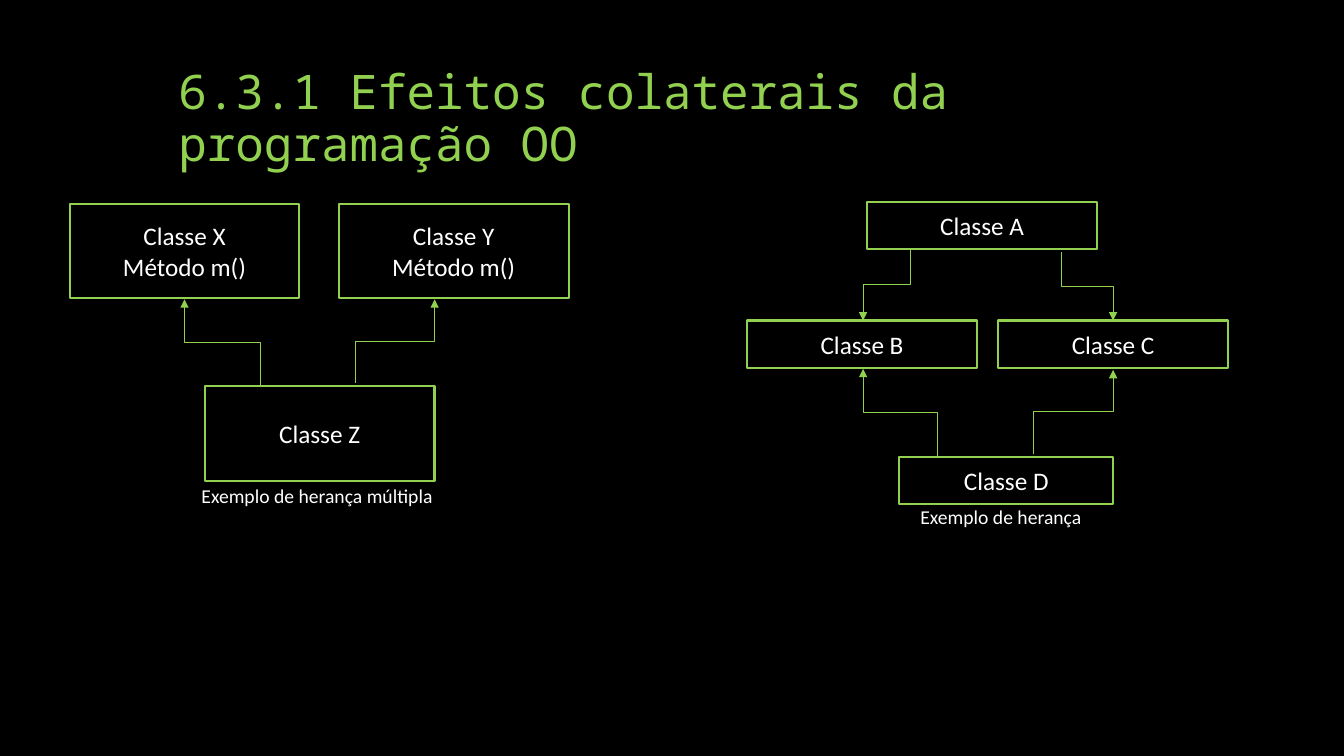
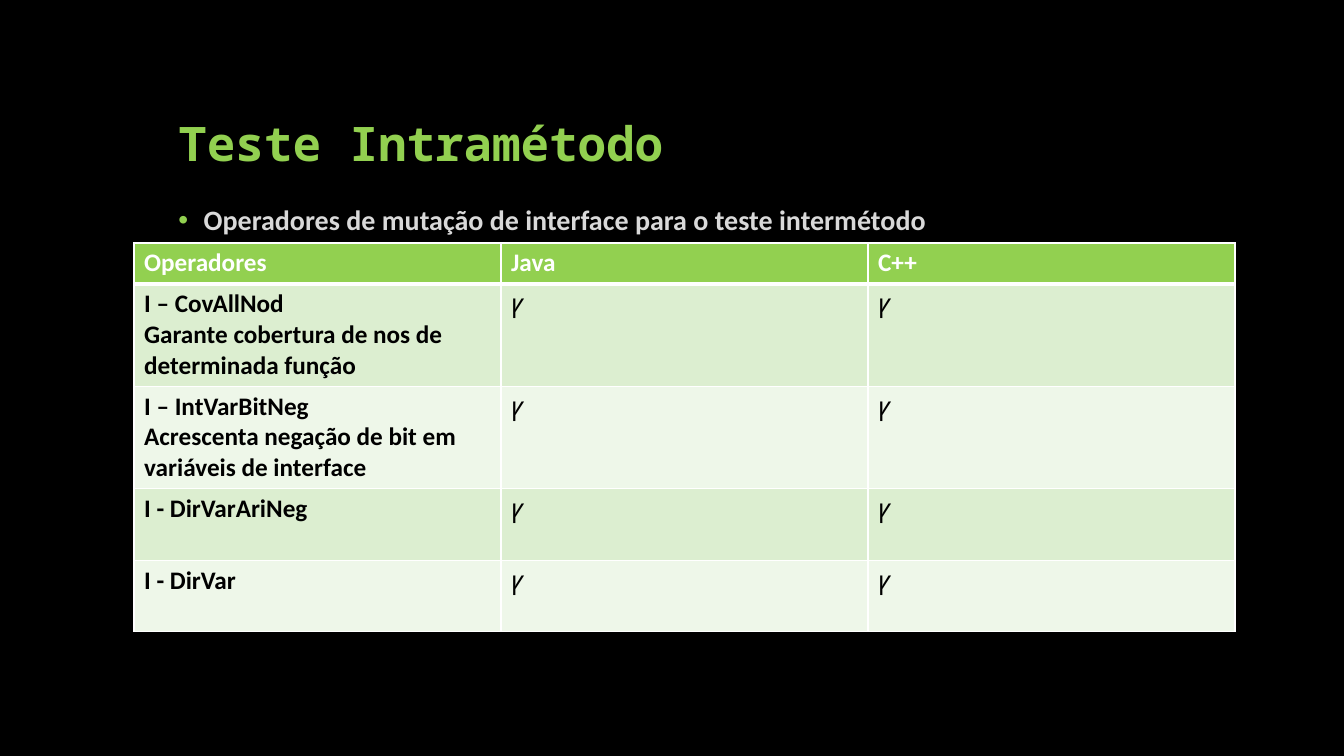
from pptx import Presentation
from pptx.dml.color import RGBColor
from pptx.enum import shapes, text
from pptx.oxml import parse_xml
from pptx.oxml.ns import nsdecls, qn
from pptx.util import Inches, Pt
from lxml import etree

HUES = {"back": "000000", "green": "92D050", "white": "FFFFFF", "grey": "D9D9D9",
        "black": "000000", "band1": "DCEED0", "band2": "EEF7E9"}
BODY, MONO = "Calibri", "Noto Sans Mono"

# Content: class boxes as (lines, left, top, width, height)
BOXES = [
    (["Classe X", "Método m()"], 0.69, 2.02, 2.28, 0.94),
    (["Classe Y", "Método m()"], 3.36, 2.02, 2.28, 0.94),
    (["Classe Z"], 2.03, 3.83, 2.28, 0.94),
    (["Classe A"], 8.6, 2, 2.28, 0.47),
    (["Classe B"], 7.41, 3.18, 2.28, 0.47),
    (["Classe C"], 9.9, 3.18, 2.28, 0.47),
    (["Classe D"], 8.92, 4.53, 2.12, 0.47),
]
# Arrows as (x1, y1, x2, y2), leaving and arriving vertically
ARROWS = [
    (2.58, 3.83, 1.83, 2.97), (3.52, 3.8, 4.31, 2.97),
    (9.3, 4.53, 8.56, 3.66), (10.25, 4.5, 11.04, 3.67),
    (9.03, 2.47, 8.56, 3.18), (10.53, 2.5, 11.04, 3.18),
]
NOTES = [("Exemplo de herança múltipla", 1.9, 4.75, 2.6),
         ("Exemplo de herança", 9.03, 4.96, 1.89)]

POINT = "Operadores de mutação de interface para o teste intermétodo"
MARK = "ꝩ"
HEAD = ["Operadores", "Java", "C++"]
ROWS = [
    ["I – CovAllNod", "Garante cobertura de nos de determinada função"],
    ["I – IntVarBitNeg", "Acrescenta negação de bit em variáveis de interface"],
    ["I - DirVarAriNeg"],
    ["I - DirVar"],
]
HIGHS = [0.39, 0.52, 0.71, 0.71, 0.71]


def rgb(hue):
    return RGBColor.from_string(HUES[hue])


def place(shape, *box):
    shape.left, shape.top, shape.width, shape.height = map(Inches, box)


def write(frame, lines, size, hue, font=BODY, bold=False, align=text.PP_ALIGN.LEFT):
    for i, line in enumerate(lines):
        para = frame.paragraphs[0] if i == 0 else frame.add_paragraph()
        para.alignment = align
        run = para.add_run()
        run.text = line
        run.font.name, run.font.size, run.font.bold = font, Pt(size), bold
        run.font.color.rgb = rgb(hue)


def start(deck, kind, name, bold=False):
    slide = deck.slides.add_slide(deck.slide_layouts[kind])
    title = slide.shapes.title
    place(title, 1.67, 0.5, 10, 1.25)
    frame = title.text_frame
    frame.auto_size = text.MSO_AUTO_SIZE.NONE
    frame.vertical_anchor = text.MSO_ANCHOR.BOTTOM
    write(frame, [name], 34, "green", MONO, bold)
    frame.paragraphs[0].line_spacing = 0.9
    return slide


def box(slide, lines, *area):
    shape = slide.shapes.add_shape(shapes.MSO_SHAPE.RECTANGLE, *map(Inches, area))
    shape.shadow.inherit = False
    shape.fill.background()
    shape.line.color.rgb = rgb("green")
    shape.line.width = Pt(1.5)
    shape.text_frame.vertical_anchor = text.MSO_ANCHOR.MIDDLE
    write(shape.text_frame, lines, 18, "white", align=text.PP_ALIGN.CENTER)


def arrow(slide, x1, y1, x2, y2):
    # An elbow starts sideways, so it is laid out turned and then rotated
    midx, midy = (x1 + x2) / 2, (y1 + y2) / 2
    half, rise = abs(y2 - y1) / 2, abs(x2 - x1) / 2
    if (x2 > x1) == (y2 > y1):
        rise = -rise
    line = slide.shapes.add_connector(
        shapes.MSO_CONNECTOR.ELBOW, Inches(midx - half), Inches(midy - rise),
        Inches(midx + half), Inches(midy + rise))
    line.line.color.rgb = rgb("green")
    line.line.width = Pt(0.5)
    props = line._element.spPr
    turn = 90 if y2 > y1 else 270
    props.find(qn("a:xfrm")).set("rot", str(turn * 60000))
    etree.SubElement(props.find(qn("a:ln")), qn("a:tailEnd"), type="triangle")
    etree.SubElement(props, qn("a:effectLst"))


def edge(cell, **widths):
    for i, side in enumerate("LRTB"):
        wide = Pt(widths.get(side, 1))
        cell._tc.get_or_add_tcPr().insert(i, parse_xml(
            f'<a:ln{side} {nsdecls("a")} w="{wide}"><a:solidFill>'
            f'<a:srgbClr val="{HUES["white"]}"/></a:solidFill></a:ln{side}>'))


def classes(deck):
    slide = start(deck, 5, "6.3.1 Efeitos colaterais da programação OO")
    for lines, *area in BOXES:
        box(slide, lines, *area)
    for ends in ARROWS:
        arrow(slide, *ends)
    for note, left, top, width in NOTES:
        label = slide.shapes.add_textbox(*map(Inches, (left, top, width, 0.34)))
        label.text_frame.word_wrap = False
        label.text_frame.auto_size = text.MSO_AUTO_SIZE.SHAPE_TO_FIT_TEXT
        write(label.text_frame, [note], 14, "white")


def methods(deck):
    slide = start(deck, 1, "Teste Intramétodo", True)

    # Bullet
    body = slide.placeholders[1]
    place(body, 1.67, 2, 10, 4.67)
    body.text_frame.auto_size = text.MSO_AUTO_SIZE.NONE
    write(body.text_frame, [POINT], 20, "grey", bold=True)
    para = body.text_frame.paragraphs[0]
    para.line_spacing, para.space_before = 0.9, Pt(18)
    props = para._p.get_or_add_pPr()
    props.set("marL", str(Inches(0.25)))
    props.set("indent", str(-Inches(0.25)))
    tint = etree.SubElement(props, qn("a:buClr"))
    etree.SubElement(tint, qn("a:srgbClr"), val=HUES["green"])
    etree.SubElement(props, qn("a:buFont"), typeface="Arial")
    etree.SubElement(props, qn("a:buChar"), char="•")

    # Table
    grid = [[[name] for name in HEAD]] + [[row, [MARK], [MARK]] for row in ROWS]
    area = map(Inches, (1.33, 2.41, 10.92, sum(HIGHS)))
    table = slide.shapes.add_table(len(grid), len(HEAD), *area).table
    for col in table.columns:
        col.width = Inches(3.64)
    for r, row in enumerate(grid):
        table.rows[r].height = Inches(HIGHS[r])
        fill = "green" if r == 0 else "band1" if r % 2 else "band2"
        for c, lines in enumerate(row):
            cell = table.cell(r, c)
            cell.fill.solid()
            cell.fill.fore_color.rgb = rgb(fill)
            edge(cell, T=3 if r == 1 else 1, B=3 if r == 0 else 1)
            write(cell.text_frame, lines, 18, "black" if r else "white",
                  bold=r == 0 or c == 0)


def main():
    deck = Presentation()
    deck.slide_width, deck.slide_height = Inches(13.33), Inches(7.5)
    back = deck.slide_master.background.fill
    back.solid()
    back.fore_color.rgb = rgb("back")
    classes(deck)
    methods(deck)
    deck.save("out.pptx")


if __name__ == "__main__":
    main()
